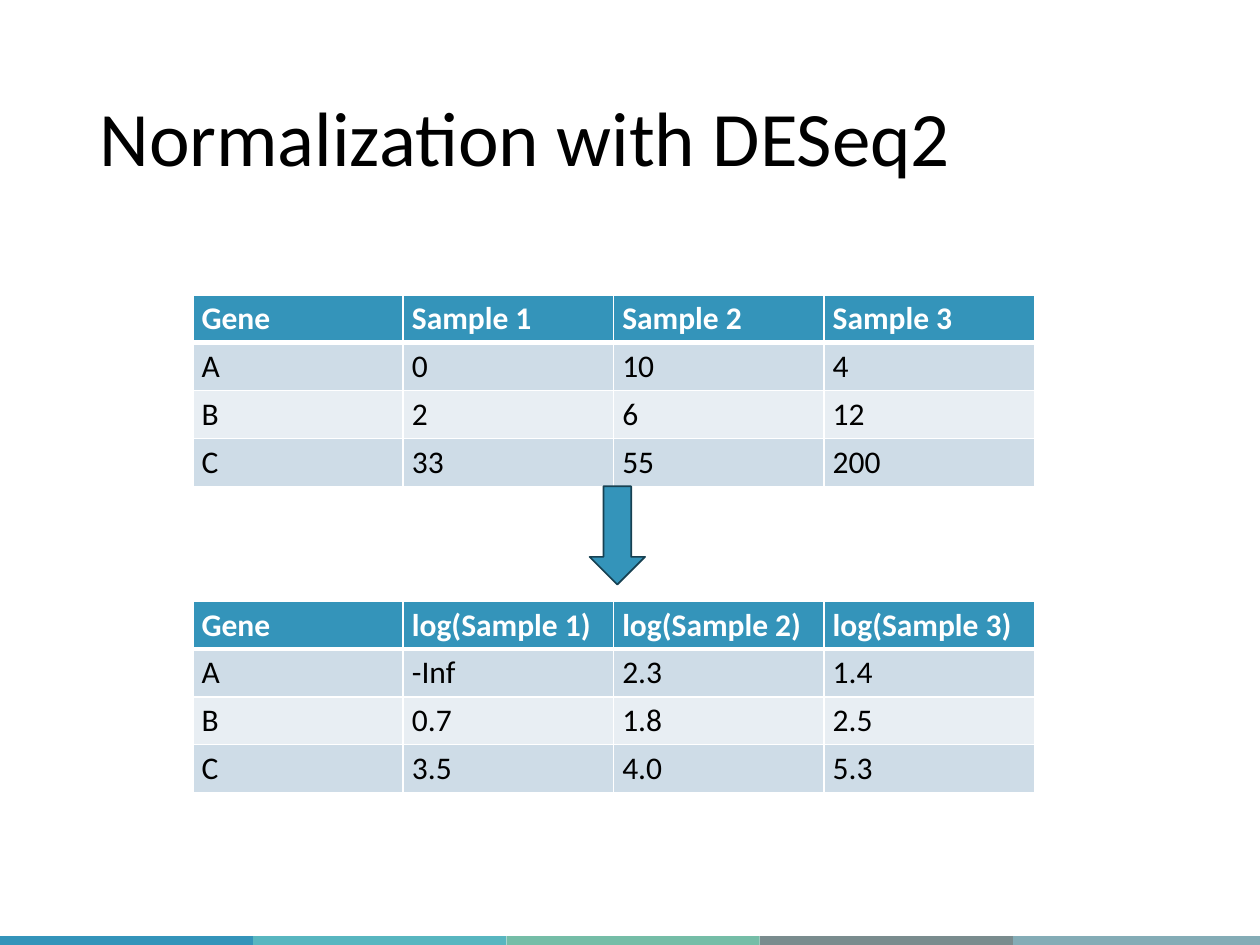
from lxml import etree
from pptx import Presentation
from pptx.dml.color import RGBColor
from pptx.enum.shapes import MSO_SHAPE
from pptx.enum.text import MSO_ANCHOR
from pptx.oxml.ns import qn
from pptx.util import Inches, Pt

RECT, DOWN_ARROW = MSO_SHAPE.RECTANGLE, MSO_SHAPE.DOWN_ARROW
MIDDLE = MSO_ANCHOR.MIDDLE

# Content
TITLE = "Normalization with DESeq2"
COUNTS = [
    ("Gene", "Sample 1", "Sample 2", "Sample 3"),
    ("A", "0", "10", "4"),
    ("B", "2", "6", "12"),
    ("C", "33", "55", "200"),
]
LOG_COUNTS = [
    ("Gene", "log(Sample 1)", "log(Sample 2)", "log(Sample 3)"),
    ("A", "-Inf", "2.3", "1.4"),
    ("B", "0.7", "1.8", "2.5"),
    ("C", "3.5", "4.0", "5.3"),
]
TABLES = [(2.34, COUNTS), (4.77, LOG_COUNTS)]

# Style and grid, in inches
FONT = "Calibri"
BLACK, WHITE, BLUE, NAVY = "000000", "FFFFFF", "3494BA", "174152"
BANDS = ["E8EEF3", "CEDCE7"]
STRIPES = [BLUE, "58B6C0", "75BDA7", "7A8C8E", "84ACB6"]
STRIPE_W, STRIPE_TOP, STRIPE_H = 2.01, 7.43, 0.1
TABLE_LEFT, COL_W, ROW_H = 1.53, 1.67, 0.38


def rgb(color):
    return RGBColor.from_string(color)


def style(p, size, color, bold=False):
    for r in p.runs:
        r.font.name, r.font.size, r.font.bold = FONT, Pt(size), bold
        r.font.color.rgb = rgb(color)


def add_shape(kind, box, fill, line=None):
    sp = slide.shapes.add_shape(kind, *map(Inches, box))
    sp.shadow.inherit = False
    sp.fill.solid()
    sp.fill.fore_color.rgb = rgb(fill)
    if line:
        sp.line.color.rgb = rgb(line)
        sp.line.width = Pt(1)
    else:
        sp.line.fill.background()


def set_border(cell, side, width):
    tc_pr = cell._tc.get_or_add_tcPr()
    ln = etree.SubElement(tc_pr, qn(f"a:ln{side}"), w=str(Pt(width)))
    fill = etree.SubElement(ln, qn("a:solidFill"))
    etree.SubElement(fill, qn("a:srgbClr"), val=WHITE)


def add_table(top, rows):
    n_rows, n_cols = len(rows), len(rows[0])
    box = (TABLE_LEFT, top, n_cols * COL_W, n_rows * ROW_H)
    table = slide.shapes.add_table(n_rows, n_cols, *map(Inches, box)).table
    for col in table.columns:
        col.width = Inches(COL_W)
    for i, row in enumerate(rows):
        table.rows[i].height = Inches(ROW_H)
        header = i == 0
        for j, text in enumerate(row):
            cell = table.cell(i, j)
            cell.margin_left = cell.margin_right = Inches(0.07)
            cell.margin_top = cell.margin_bottom = Inches(0.04)
            cell.text_frame.text = text
            style(cell.text_frame.paragraphs[0], 18, WHITE if header else BLACK, header)
            # A thick rule separates the header from the body
            widths = {"L": 1, "R": 1, "T": 3 if i == 1 else 1, "B": 3 if header else 1}
            for side, width in widths.items():
                set_border(cell, side, width)
            cell.fill.solid()
            cell.fill.fore_color.rgb = rgb(BLUE if header else BANDS[i % 2])


prs = Presentation()
prs.slide_width, prs.slide_height = Inches(10), Inches(7.5)
slide = prs.slides.add_slide(prs.slide_layouts[6])

# Footer stripes
for i, color in enumerate(STRIPES):
    add_shape(RECT, (i * STRIPE_W, STRIPE_TOP, STRIPE_W, STRIPE_H), color)

# Title
tf = slide.shapes.add_textbox(*map(Inches, (0.69, 0.4, 8.62, 1.45))).text_frame
tf.word_wrap = True
tf.vertical_anchor = MIDDLE
tf.text = TITLE
tf.paragraphs[0].line_spacing = 0.9
style(tf.paragraphs[0], 44, BLACK)

# Tables and the arrow between them
for top, rows in TABLES:
    add_table(top, rows)
add_shape(DOWN_ARROW, (4.68, 3.86, 0.44, 0.78), BLUE, NAVY)

prs.save("out.pptx")
